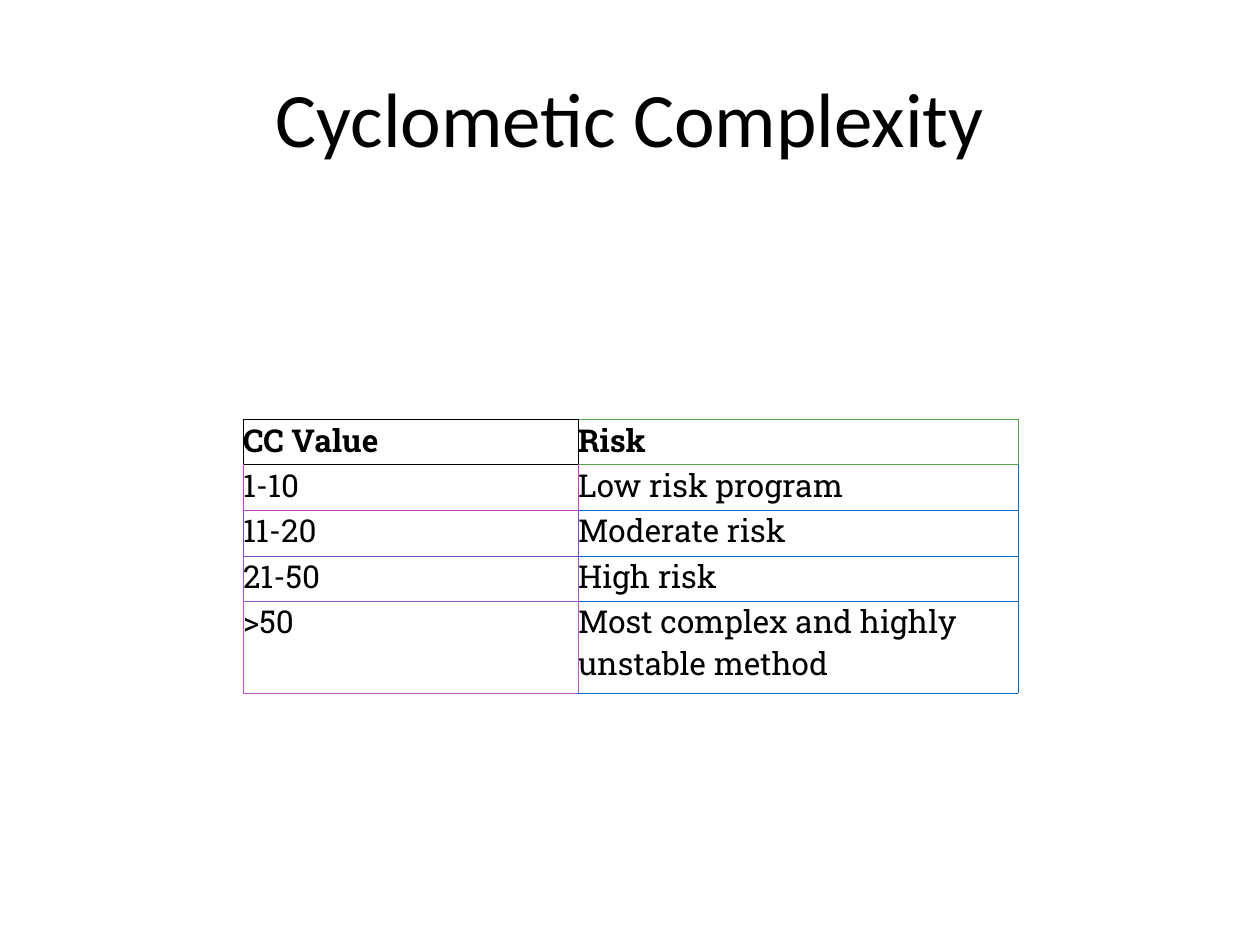
import lxml.etree
import pptx
import pptx.dml.color
import pptx.enum.text
import pptx.oxml.ns
import pptx.util

RGB = pptx.dml.color.RGBColor
BLACK = RGB(0x00, 0x00, 0x00)
GREEN = RGB(0x50, 0xA7, 0x50)
BLUE = RGB(0x00, 0x6B, 0xC4)
PINK = RGB(0xC0, 0x40, 0xC2)
VIOLET = RGB(0x80, 0x47, 0xC2)
PURPLE = RGB(0xA0, 0x55, 0xC2)
ORCHID = RGB(0xC0, 0x56, 0xC2)

RISKS = [
    ("CC Value", "Risk"),
    ("1-10", "Low risk program"),
    ("11-20", "Moderate risk"),
    ("21-50", "High risk"),
    (">50", "Most complex and highly unstable method"),
]
EDGES = [(BLACK, GREEN), (PINK, BLUE), (VIOLET, BLUE), (PURPLE, BLUE), (ORCHID, BLUE)]
WIDTHS = [335, 440]
HEIGHTS = [45, 46, 46, 45, 92]


def px(size):
    return pptx.util.Emu(round(size * 914400 / 126))


class Deck:
    """Holds the text style and the current slide."""

    def __init__(self, slide):
        self.slide = slide
        self.head = "Calibri"
        self.body = "Roboto Slab"

    def text(self, para, words, face, size, bold=False):
        run = para.add_run()
        run.text = words
        font = run.font
        font.name, font.size, font.bold = face, pptx.util.Pt(size), bold
        font.color.rgb = BLACK

    def title(self, words, x, y, w, h):
        shape = self.slide.shapes.title
        shape.left, shape.top, shape.width, shape.height = map(px, (x, y, w, h))
        frame = shape.text_frame
        frame.vertical_anchor = pptx.enum.text.MSO_ANCHOR.MIDDLE
        frame.margin_left = frame.margin_right = px(6)
        frame.margin_top = frame.margin_bottom = px(6)
        para = frame.paragraphs[0]
        para.alignment = pptx.enum.text.PP_ALIGN.CENTER
        self.text(para, words, self.head, 44)

    def border(self, cell, side, color):
        tag = pptx.oxml.ns.qn
        props = cell._tc.get_or_add_tcPr()
        width = str(pptx.util.Pt(0.5))
        line = lxml.etree.SubElement(props, tag("a:ln" + side), w=width)
        fill = lxml.etree.SubElement(line, tag("a:solidFill"))
        lxml.etree.SubElement(fill, tag("a:srgbClr"), val=str(color))

    def table(self, rows, edges, x, y, widths, heights):
        size = map(px, (x, y, sum(widths), sum(heights)))
        grid = self.slide.shapes.add_table(len(rows), len(widths), *size).table
        grid.first_row = grid.horz_banding = False
        for col, width in zip(grid.columns, widths):
            col.width = px(width)
        for row, height in zip(grid.rows, heights):
            row.height = px(height)
        for i, row in enumerate(rows):
            for j, words in enumerate(row):
                cell = grid.cell(i, j)
                cell.margin_left = cell.margin_right = 0
                cell.margin_top = cell.margin_bottom = 0
                para = cell.text_frame.paragraphs[0]
                self.text(para, words, self.body, 18, i == 0)
                own = edges[i][j]
                self.border(cell, "L", edges[i][max(j - 1, 0)])
                self.border(cell, "R", own)
                self.border(cell, "T", edges[max(i - 1, 0)][j])
                self.border(cell, "B", own)
                cell.fill.background()


def main():
    show = pptx.Presentation()
    show.slide_width, show.slide_height = px(1260), px(945)
    deck = Deck(show.slides.add_slide(show.slide_layouts[5]))
    deck.title("Cyclometic Complexity", 63, 38, 1134, 157)
    deck.table(RISKS, EDGES, 243, 419, WIDTHS, HEIGHTS)
    show.save("out.pptx")


if __name__ == "__main__":
    main()
